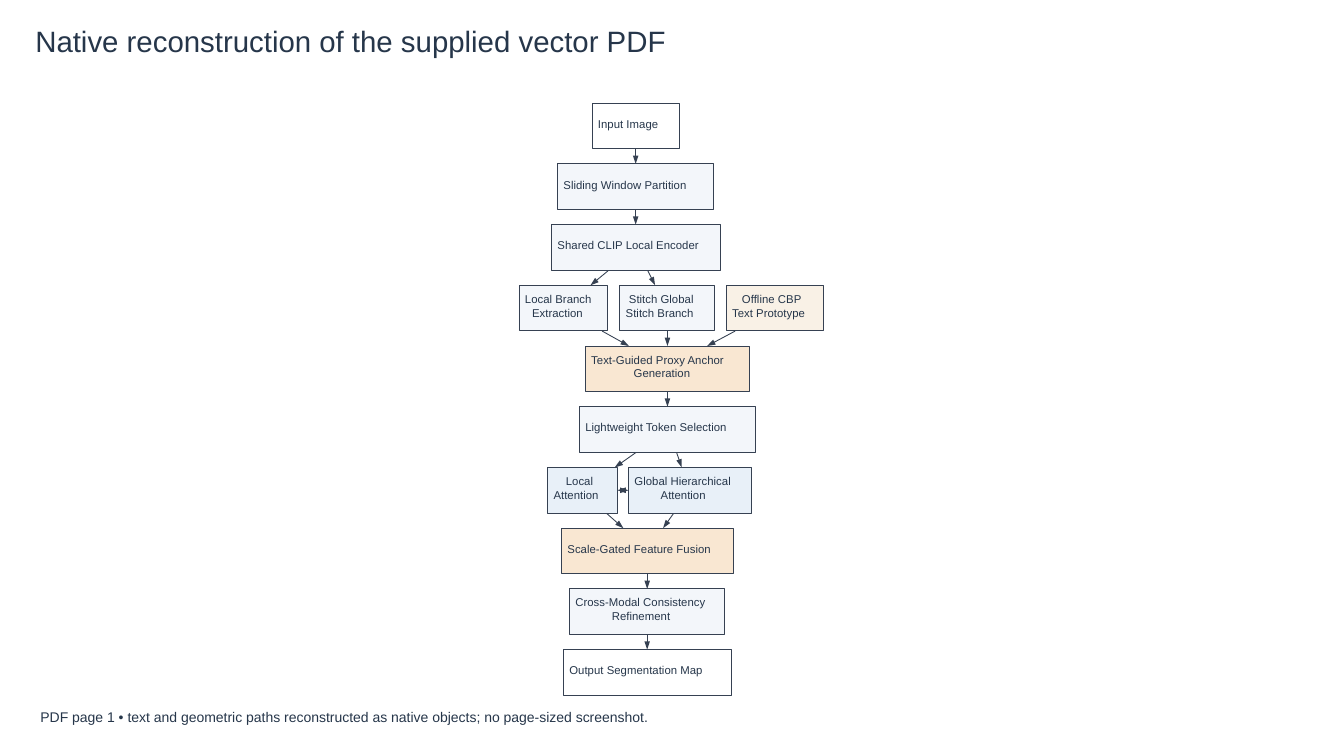
from dataclasses import dataclass

from lxml import etree
from pptx import Presentation
from pptx import util as u
from pptx.dml import color
from pptx.enum import shapes, text
from pptx.oxml import ns


@dataclass(frozen=True)
class Theme:
    font: str = "Arial"
    ink: str = "26364A"
    edge: str = "364152"
    white: str = "FFFFFF"
    pale: str = "F3F6FA"
    cream: str = "F9F1E6"
    peach: str = "F9E7D2"
    sky: str = "E8F0F8"
    head: float = 21
    body: float = 8.1
    note: float = 10
    rule: float = 0.63


@dataclass(frozen=True)
class Box:
    left: float
    top: float
    width: float
    height: float


T = Theme()
STEP, TALL = 1.53, 1.15

ROWS = [
    [(1.92, 2.2, T.white, [("Input Image", 0)])],
    [(1.05, 3.93, T.pale, [("Sliding Window Partition", 0)])],
    [(0.9, 4.25, T.pale, [("Shared CLIP Local Encoder", 0)])],
    [(0.08, 2.23, T.pale, [("Local Branch", 0), ("Extraction", 0.18)]),
     (2.62, 2.39, T.pale, [("Stitch Global", 0.08), ("Stitch Branch", 0)]),
     (5.3, 2.46, T.cream, [("Offline CBP", 0.25), ("Text Prototype", 0)])],
    [(1.75, 4.15, T.peach,
      [("Text-Guided Proxy Anchor", 0), ("Generation", 1.07)])],
    [(1.6, 4.43, T.pale, [("Lightweight Token Selection", 0)])],
    [(0.8, 1.76, T.sky, [("Local", 0.31), ("Attention", 0)]),
     (2.84, 3.1, T.sky, [("Global Hierarchical", 0), ("Attention", 0.66)])],
    [(1.15, 4.34, T.peach, [("Scale-Gated Feature Fusion", 0)])],
    [(1.35, 3.91, T.pale,
      [("Cross-Modal Consistency", 0), ("Refinement", 0.92)])],
    [(1.2, 4.24, T.white, [("Output Segmentation Map", 0)])],
]

GAPS = [
    [(3.02, 3.02)],
    [(3.02, 3.02)],
    [(2.34, 1.88), (3.32, 3.51)],
    [(2.17, 2.85), (3.82, 3.82), (5.53, 4.82)],
    [(3.82, 3.82)],
    [(3.03, 2.49), (4.05, 4.18)],
    [(2.28, 2.71), (3.98, 3.71)],
    [(3.31, 3.31)],
    [(3.31, 3.31)],
]


def rgb(code):
    return color.RGBColor.from_string(code)


def apply(item, values):
    for name, value in values.items():
        setattr(item, name, value)


def style(part, size):
    apply(part.font, {"name": T.font, "size": u.Pt(size)})
    part.font.color.rgb = rgb(T.ink)


def label(slide, box, words, size):
    frame = slide.shapes.add_textbox(
        u.Cm(box.left), u.Cm(box.top), u.Cm(box.width), u.Cm(box.height)
    ).text_frame
    apply(frame, {"word_wrap": True, "margin_left": 0, "margin_right": 0,
                  "margin_top": u.Cm(0.13), "margin_bottom": u.Cm(0.13)})
    line = frame.paragraphs[0].add_run()
    line.text = words
    style(line, size)


def node(slide, box, fill, lines):
    shape = slide.shapes.add_shape(
        shapes.MSO_SHAPE.RECTANGLE,
        u.Cm(box.left), u.Cm(box.top), u.Cm(box.width), u.Cm(box.height))
    shape.shadow.inherit = False
    shape.fill.solid()
    shape.fill.fore_color.rgb = rgb(fill)
    shape.line.color.rgb = rgb(T.edge)
    shape.line.width = u.Pt(T.rule)
    frame = shape.text_frame
    apply(frame, {"word_wrap": True, "margin_left": u.Cm(0.15),
                  "margin_right": 0, "margin_bottom": 0,
                  "margin_top": u.Cm(0.53 - 0.18 * len(lines)),
                  "vertical_anchor": text.MSO_ANCHOR.TOP})
    for place, (words, inset) in enumerate(lines):
        para = frame.add_paragraph() if place else frame.paragraphs[0]
        para.alignment = text.PP_ALIGN.LEFT
        para._p.get_or_add_pPr().set("marL", str(u.Cm(inset)))
        line = para.add_run()
        line.text = words
        style(line, T.body)


def arrow(slide, start, end, tips=("tailEnd",)):
    link = slide.shapes.add_connector(
        shapes.MSO_CONNECTOR.STRAIGHT, *map(u.Cm, (*start, *end)))
    link.line.color.rgb = rgb(T.edge)
    link.line.width = u.Pt(T.rule)
    stroke = link.line._get_or_add_ln()
    for tip in tips:
        etree.SubElement(stroke, ns.qn("a:" + tip),
                         type="triangle", w="sm", len="med")
    etree.SubElement(link._element.spPr, ns.qn("a:effectLst"))


def flow(slide, box):
    for row, pairs in enumerate(GAPS):
        top = box.top + row * STEP
        for first, last in pairs:
            arrow(slide, (box.left + first, top + TALL),
                  (box.left + last, top + STEP))
    for row, nodes in enumerate(ROWS):
        for left, width, fill, lines in nodes:
            area = Box(box.left + left, box.top + row * STEP, width, TALL)
            node(slide, area, fill, lines)
    local, whole = ROWS[6]
    mid = box.top + 6 * STEP + TALL / 2
    arrow(slide, (box.left + local[0] + local[1], mid),
          (box.left + whole[0], mid), ("headEnd", "tailEnd"))


def main():
    deck = Presentation()
    apply(deck, {"slide_width": u.Cm(33.87), "slide_height": u.Cm(19.05)})
    slide = deck.slides.add_slide(deck.slide_layouts[6])
    label(slide, Box(0.89, 0.46, 30.48, 1.27),
          "Native reconstruction of the supplied vector PDF", T.head)
    flow(slide, Box(13, 2.6, 7.9, 15))
    label(slide, Box(1.02, 17.73, 30.48, 0.76),
          "PDF page 1 • text and geometric paths reconstructed as native "
          "objects; no page-sized screenshot.", T.note)
    deck.save("out.pptx")


if __name__ == "__main__":
    main()
